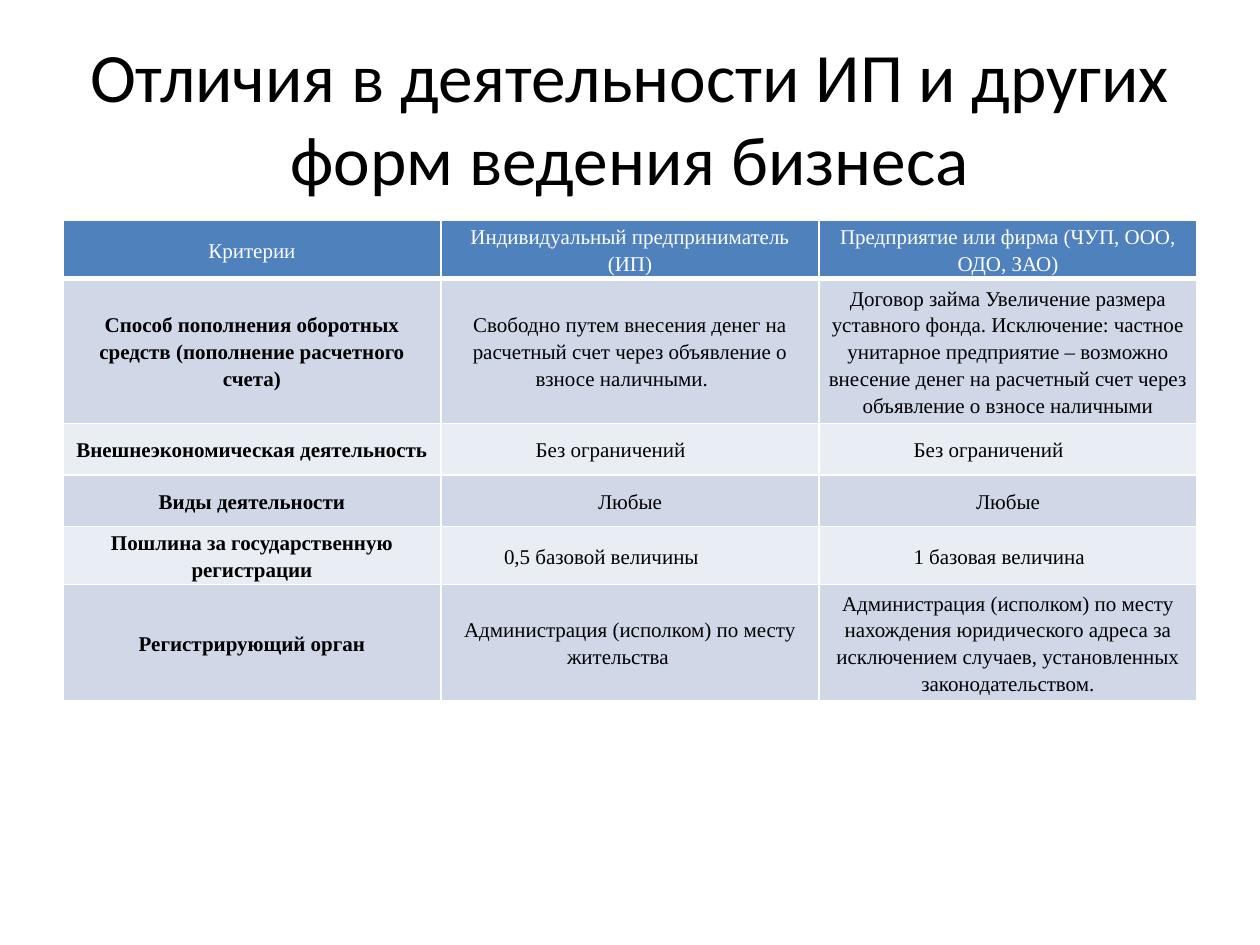
from dataclasses import dataclass

from lxml import etree
from pptx import Presentation
from pptx.dml.color import RGBColor
from pptx.enum.text import MSO_ANCHOR, PP_ALIGN
from pptx.oxml.ns import qn
from pptx.table import _Cell
from pptx.text.text import TextFrame
from pptx.util import Pt

CENTER = PP_ALIGN.CENTER
MIDDLE = MSO_ANCHOR.MIDDLE

BLACK = RGBColor(0x00, 0x00, 0x00)
WHITE = RGBColor(0xFF, 0xFF, 0xFF)
HEADER_BLUE = RGBColor(0x4F, 0x81, 0xBD)
BAND_DARK = RGBColor(0xD0, 0xD8, 0xE8)
BAND_LIGHT = RGBColor(0xE9, 0xED, 0xF4)

TITLE = "Отличия в деятельности ИП и других форм ведения бизнеса"
COLUMN_WIDTH = 216
ROW_HEIGHT = 29.5


@dataclass(frozen=True)
class ComparisonRow:
    criterion: str
    entrepreneur: str
    company: str

    def texts(self) -> tuple[str, str, str]:
        return self.criterion, self.entrepreneur, self.company


@dataclass(frozen=True)
class TextStyle:
    font: str
    size: float
    color: RGBColor
    bold: bool = False
    line_spacing: float = 1.0


ROWS = [
    ComparisonRow(
        "Критерии",
        "Индивидуальный предприниматель (ИП)",
        "Предприятие или фирма (ЧУП, ООО, ОДО, ЗАО)",
    ),
    ComparisonRow(
        "Способ пополнения оборотных средств (пополнение расчетного счета)",
        "Свободно путем внесения денег на расчетный счет через объявление "
        "о взносе наличными.\t",
        "Договор займа Увеличение размера уставного фонда. Исключение: "
        "частное унитарное предприятие – возможно внесение денег на "
        "расчетный счет через объявление о взносе наличными",
    ),
    ComparisonRow(
        "Внешнеэкономическая деятельность",
        "Без ограничений\t",
        "Без ограничений\t",
    ),
    ComparisonRow("Виды деятельности", "Любые", "Любые"),
    ComparisonRow(
        "Пошлина за государственную регистрации",
        "0,5 базовой величины\t",
        "1 базовая величина\t",
    ),
    ComparisonRow(
        "Регистрирующий орган",
        "Администрация (исполком) по месту жительства\t",
        "Администрация (исполком) по месту нахождения юридического адреса "
        "за исключением случаев, установленных законодательством.",
    ),
]


def write_text(frame: TextFrame, text: str, style: TextStyle) -> None:
    paragraph = frame.paragraphs[0]
    paragraph.alignment = CENTER
    paragraph.line_spacing = style.line_spacing
    run = paragraph.add_run()
    run.text = text
    run.font.name = style.font
    run.font.size = Pt(style.size)
    run.font.bold = style.bold
    run.font.color.rgb = style.color


def set_borders(cell: _Cell, bottom_width: float) -> None:
    properties = cell._tc.get_or_add_tcPr()
    widths = {"a:lnL": 1, "a:lnR": 1, "a:lnT": 1, "a:lnB": bottom_width}
    # Borders come before the fill in the cell properties
    for position, (tag, width) in enumerate(widths.items()):
        line = etree.Element(qn(tag), w=str(Pt(width)))
        fill = etree.SubElement(line, qn("a:solidFill"))
        etree.SubElement(fill, qn("a:srgbClr"), val=str(WHITE))
        properties.insert(position, line)


def fill_cell(cell: _Cell, text: str, row_index: int, column_index: int) -> None:
    is_header = row_index == 0
    band = BAND_DARK if row_index % 2 else BAND_LIGHT
    cell.fill.solid()
    cell.fill.fore_color.rgb = HEADER_BLUE if is_header else band
    cell.vertical_anchor = MIDDLE
    cell.margin_left = cell.margin_right = Pt(5)
    cell.margin_top = cell.margin_bottom = Pt(0)
    style = TextStyle(
        "Times New Roman",
        12,
        WHITE if is_header else BLACK,
        bold=column_index == 0 and not is_header,
        line_spacing=1.15,
    )
    write_text(cell.text_frame, text, style)
    set_borders(cell, bottom_width=3 if is_header else 1)


presentation = Presentation()
presentation.slide_width = Pt(720)
presentation.slide_height = Pt(540)
slide = presentation.slides.add_slide(presentation.slide_layouts[6])

# Title
title = slide.shapes.add_textbox(Pt(36), Pt(21.6), Pt(648), Pt(90))
title.text_frame.word_wrap = True
title.text_frame.vertical_anchor = MIDDLE
write_text(title.text_frame, TITLE, TextStyle("Calibri", 39.6, BLACK))

# Comparison table
table = slide.shapes.add_table(
    len(ROWS), 3, Pt(36), Pt(126), Pt(3 * COLUMN_WIDTH), Pt(len(ROWS) * ROW_HEIGHT)
).table
for column in table.columns:
    column.width = Pt(COLUMN_WIDTH)
for row_index, comparison in enumerate(ROWS):
    table.rows[row_index].height = Pt(ROW_HEIGHT)
    for column_index, text in enumerate(comparison.texts()):
        fill_cell(table.cell(row_index, column_index), text, row_index, column_index)

presentation.save("out.pptx")
